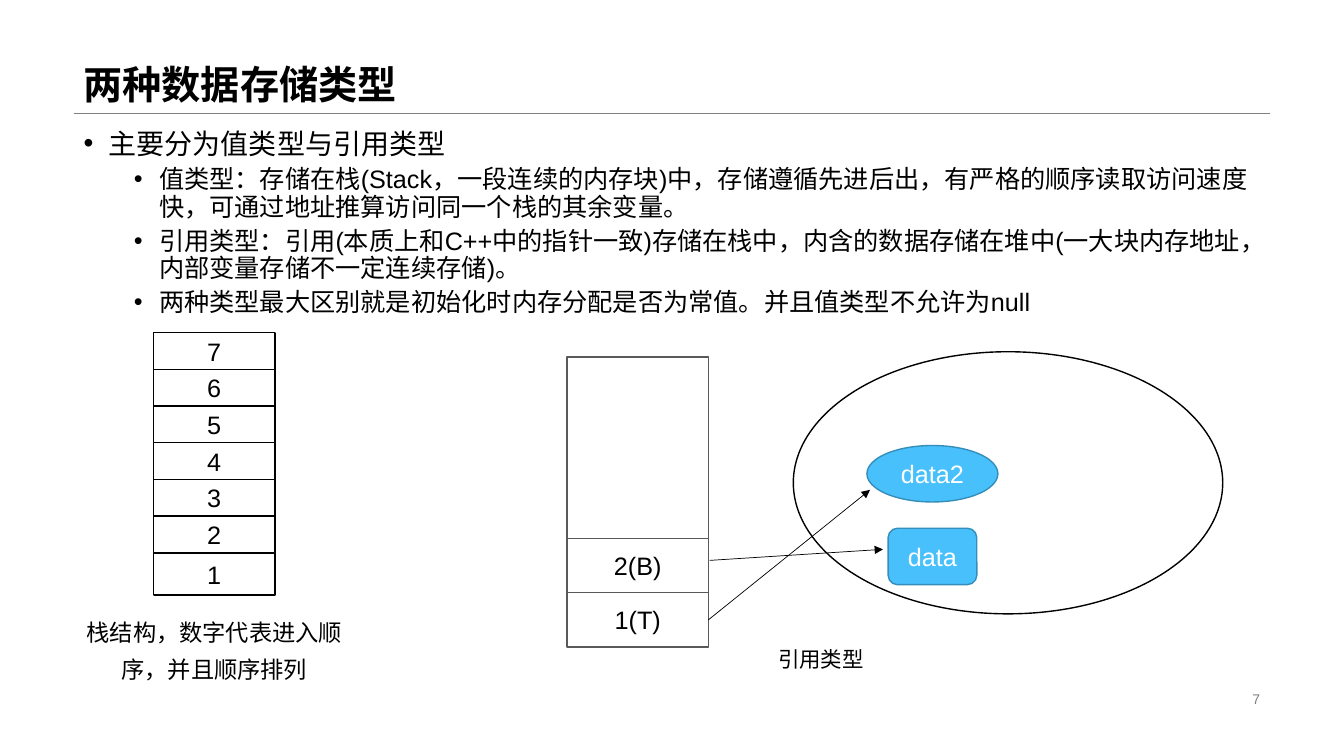
from lxml import etree
from pptx import Presentation
from pptx import util as u
from pptx.dml.color import RGBColor
from pptx.enum import shapes, text
from pptx.oxml.ns import qn

THEME = {
    "font": "Arial", "ink": "000000", "paper": "FFFFFF", "grey": "808080",
    "frame": "595959", "data": "48C0FC", "data_edge": "358EBA",
    "title": 28, "lead": 20, "body": 18, "caption": 16.6, "small": 15.3, "number": 10,
}
MSO, ALIGN, ANCHOR = shapes.MSO_SHAPE, text.PP_ALIGN, text.MSO_ANCHOR

prs = Presentation()
prs.slide_width, prs.slide_height = u.Inches(13.33), u.Inches(7.5)
s = prs.slides.add_slide(prs.slide_layouts[6])

# Grid of 100 columns by 100 rows
COL, ROW = prs.slide_width / 100, prs.slide_height / 100
LEFT, WIDTH, HEAD = 5.48, 89.03, 14.93


def add_box(x, y, w, h, words=(), kind=None, fill="paper", edge="ink", weight=1,
            size="body", color="ink", align=ALIGN.CENTER, anchor=ANCHOR.MIDDLE, spacing=None):
    """Add a preset shape, or a text box if kind is None, with one paragraph per item."""
    place = [int(v) for v in (x * COL, y * ROW, w * COL, h * ROW)]
    if kind is None:
        sp = s.shapes.add_textbox(*place)
    else:
        sp = s.shapes.add_shape(kind, *place)
        sp.shadow.inherit = False
        sp.fill.solid()
        sp.fill.fore_color.rgb = RGBColor.from_string(THEME[fill])
        sp.line.color.rgb = RGBColor.from_string(THEME[edge])
        sp.line.width = u.Pt(weight)
    tf = sp.text_frame
    tf.word_wrap, tf.vertical_anchor = True, anchor
    for i, line in enumerate(words):
        p = tf.paragraphs[0] if i == 0 else tf.add_paragraph()
        p.text, p.alignment, p.line_spacing = line, align, spacing
        p.font.name, p.font.size = THEME["font"], u.Pt(THEME[size])
        p.font.color.rgb = RGBColor.from_string(THEME[color])
    return sp


def add_line(x1, y1, x2, y2, color="ink", weight=0.5, arrow=True):
    """Add a straight line, with an arrowhead at its end if asked."""
    ends = [int(v) for v in (x1 * COL, y1 * ROW, x2 * COL, y2 * ROW)]
    cxn = s.shapes.add_connector(shapes.MSO_CONNECTOR.STRAIGHT, *ends)
    cxn.line.color.rgb = RGBColor.from_string(THEME[color])
    cxn.line.width = u.Pt(weight)
    if arrow:
        etree.SubElement(cxn.line._get_or_add_ln(), qn("a:tailEnd"), type="triangle")
    etree.SubElement(cxn._element.spPr, qn("a:effectLst"))
    return cxn


# Title, rule and slide number
add_line(LEFT, HEAD, LEFT + WIDTH, HEAD, "grey", 0.25, arrow=False)
add_box(70.65, 90.93, 23.85, 3.07, ["7"], size="number", color="grey", align=ALIGN.RIGHT)
title = add_box(LEFT, 0, WIDTH, HEAD, ["两种数据存储类型"], size="title",
                align=ALIGN.LEFT, anchor=ANCHOR.BOTTOM, spacing=0.9)
title.text_frame.paragraphs[0].font.bold = True

# Bulleted text: one lead line, then second-level points
body = add_box(LEFT, 16.53, WIDTH, 74.53, [
    "主要分为值类型与引用类型",
    "值类型：存储在栈(Stack，一段连续的内存块)中，存储遵循先进后出，有严格的顺序读取访问速度快，可通过地址推算访问同一个栈的其余变量。",
    "引用类型：引用(本质上和C++中的指针一致)存储在栈中，内含的数据存储在堆中(一大块内存地址，内部变量存储不一定连续存储)。",
    "两种类型最大区别就是初始化时内存分配是否为常值。并且值类型不允许为null",
], align=ALIGN.LEFT, anchor=ANCHOR.TOP, spacing=0.9)
for i, p in enumerate(body.text_frame.paragraphs):
    p.level = min(i, 1)
    p.space_before = u.Pt(5 if p.level else 10)
    p.font.size = u.Pt(THEME["body" if p.level else "lead"])
    pPr = p._p.get_or_add_pPr()
    pPr.set("marL", str(u.Inches(0.25 + 0.5 * p.level)))
    pPr.set("indent", str(u.Inches(-0.25)))
    bullet_font = etree.Element(qn("a:buFont"), typeface=THEME["font"])
    bullet = etree.Element(qn("a:buChar"), char="•")
    pPr.find(qn("a:spcBef")).addnext(bullet_font)
    bullet_font.addnext(bullet)

# Value types: stack of numbered cells, the bottom one a little taller
STACK_X, STACK_Y, STACK_W, STACK_H, CELL = 11.43, 44, 9, 34.67, 4.85
stack = add_box(STACK_X, STACK_Y, STACK_W, STACK_H, kind=MSO.RECTANGLE, fill="ink", weight=1.42)
tint = stack._element.spPr.find(qn("a:solidFill"))[0]
etree.SubElement(tint, qn("a:alpha"), val="5000")
for i in range(6):
    add_box(STACK_X, STACK_Y + i * CELL, STACK_W, CELL, [str(7 - i)], MSO.RECTANGLE)
add_box(STACK_X, 73.2, STACK_W, 5.47, ["1"], MSO.RECTANGLE)
add_box(4.88, 80.13, 22.13, 10.8, ["栈结构，数字代表进入顺序，并且顺序排列"],
        size="caption", spacing=1.3)

# Reference types: heap, stack of references, stored data
add_box(59.03, 46.53, 31.95, 34.67, kind=MSO.OVAL)
REF_X, REF_W, REF_Y, REF_H = 42.2, 10.5, 71.2, 7.2
add_box(REF_X, 47.2, REF_W, 38.27, kind=MSO.RECTANGLE, edge="frame")
refs = [add_box(REF_X, REF_Y + i * REF_H, REF_W, REF_H, [name], MSO.RECTANGLE, edge="frame")
        for i, name in enumerate(["2(B)", "1(T)"])]
for x, y, w, name, kind in [(64.5, 58.93, 9.75, "data2", MSO.OVAL),
                            (66.08, 69.87, 6.6, "data", MSO.ROUNDED_RECTANGLE)]:
    add_box(x, y, w, 7.47, [name], kind, fill="data", edge="data_edge", color="paper")

# Arrows from references to data
add_line(52.7, 82, 64.73, 64.8).begin_connect(refs[1], 3)
add_line(52.8, 74.13, 65.7, 72.67)
add_box(54.3, 83.87, 13.58, 5.47, ["引用类型"], size="small", spacing=1.3)

prs.save("out.pptx")
